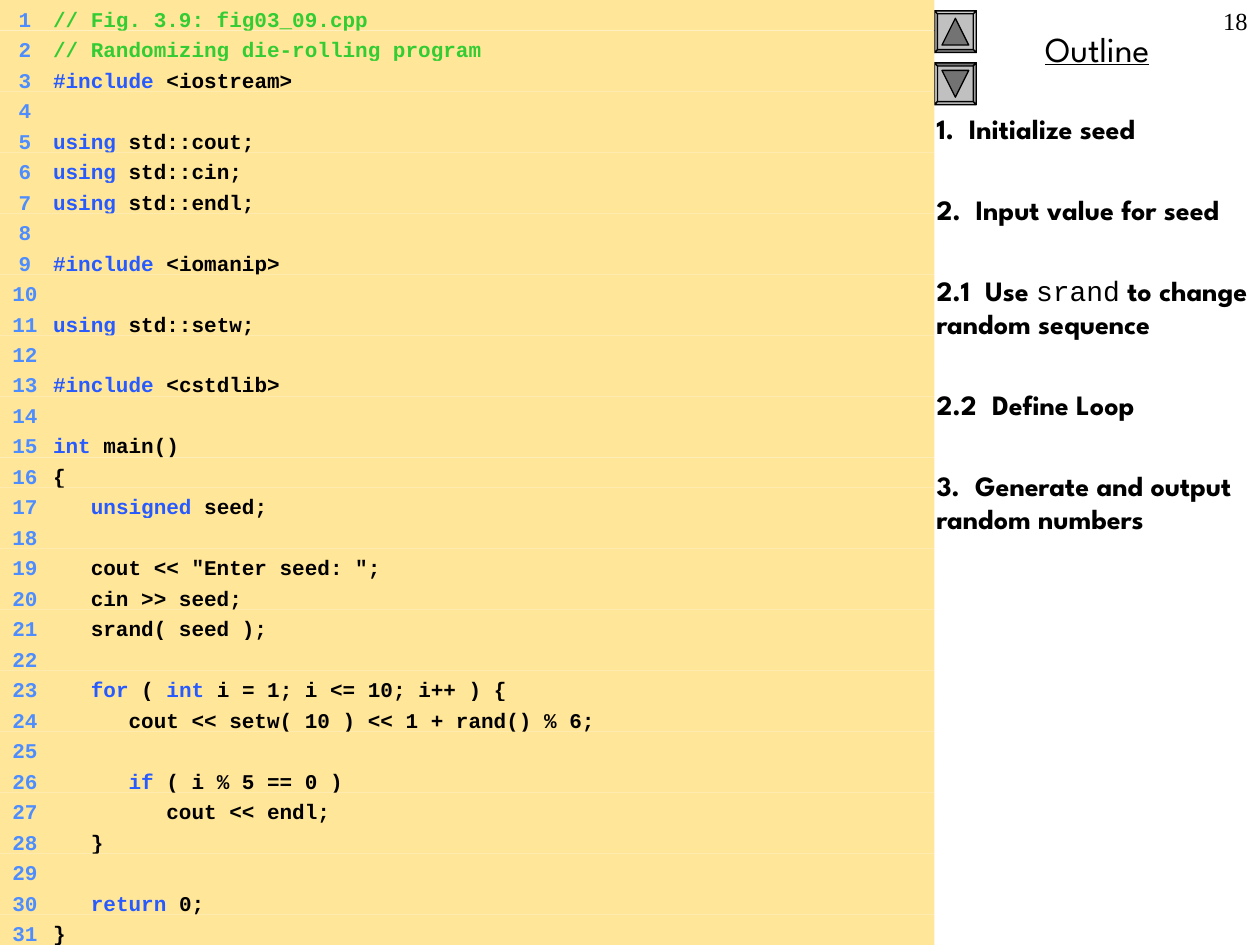
from itertools import groupby

from lxml.etree import SubElement as Sub
from pptx import Presentation
from pptx.dml.color import RGBColor as Rgb
from pptx.enum.shapes import MSO_SHAPE as Kind
from pptx.enum.text import MSO_ANCHOR as Anchor, PP_ALIGN as Align
from pptx.oxml.ns import qn
from pptx.util import Cm, Pt

BLACK = Rgb(0, 0, 0)
CREAM = Rgb(0xFF, 0xE6, 0x99)
GREEN = Rgb(0x33, 0xCC, 0x33)
BLUE = Rgb(0x27, 0x5A, 0xFF)
SKY = Rgb(0x4D, 0x8D, 0xFF)
FACE = Rgb(0xC0, 0xC0, 0xC0)
LIGHT = Rgb(0xCD, 0xCD, 0xCD)
MID = Rgb(0x9A, 0x9A, 0x9A)
DARK = Rgb(0x73, 0x73, 0x73)

MONO, SANS, SERIF = "Courier New", "League Spartan", "Times New Roman"
WIDE, HIGH, SPLIT = 25.4, 19.05, 18.84

KEYS = {"#include", "using", "int", "unsigned", "for", "if", "return"}
CODE = """\
// Fig. 3.9: fig03_09.cpp
// Randomizing die-rolling program
#include <iostream>

using std::cout;
using std::cin;
using std::endl;

#include <iomanip>

using std::setw;

#include <cstdlib>

int main()
{
   unsigned seed;

   cout << "Enter seed: ";
   cin >> seed;
   srand( seed );

   for ( int i = 1; i <= 10; i++ ) {
      cout << setw( 10 ) << 1 + rand() % 6;

      if ( i % 5 == 0 )
         cout << endl;
   }

   return 0;
}""".split("\n")

# Each topic: width of its number in cm, then its runs
TOPICS = [
    (0.65, [("1.\tInitialize seed", SANS)]),
    (0.79, [("2.\tInput value for seed", SANS)]),
    (0.98, [("2.1\tUse ", SANS), ("srand", MONO),
            (" to change random sequence", SANS)]),
    (1.12, [("2.2\tDefine Loop", SANS)]),
    (0.78, [("3.\tGenerate and output random numbers", SANS)]),
]


def put(para, text, font=SANS, size=16, color=BLACK, bold=False, under=False):
    run = para.add_run()
    run.text = text
    style = run.font
    style.name, style.size, style.bold = font, Pt(size), bold
    style.underline = under
    style.color.rgb = color


def stops(para, *tabs):
    """Set tab stops, each a pair of centimetres and alignment."""
    group = Sub(para._p.get_or_add_pPr(), qn("a:tabLst"))
    for pos, side in tabs:
        Sub(group, qn("a:tab"), pos=str(Cm(pos)), algn=side)


def tint(line):
    """Split a line of code into runs of text and colour."""
    if line.startswith("//"):
        return [(line, GREEN)]
    groups = groupby(line.split(" "), lambda word: word in KEYS)
    return [(" " * (i > 0) + " ".join(words), BLUE if key else BLACK)
            for i, (key, words) in enumerate(groups)]


class Page:
    def __init__(self, deck):
        self.slide = deck.slides.add_slide(deck.slide_layouts[6])
        self.shapes = self.slide.shapes

    def paint(self, shape, fill, line=None):
        shape.shadow.inherit = False
        shape.fill.solid()
        shape.fill.fore_color.rgb = fill
        if line is None:
            shape.line.fill.background()
        else:
            shape.line.color.rgb = line
            shape.line.width = Pt(0.75)

    def box(self, left, top, width, height, align=Align.LEFT):
        """Add a text box and return its frame."""
        frame = self.shapes.add_textbox(
            Cm(left), Cm(top), Cm(width), Cm(height)).text_frame
        frame.word_wrap = True
        frame.paragraphs[0].alignment = align
        return frame

    def row(self, num, line, pitch):
        top = Cm((num - 1) * pitch)
        bar = self.shapes.add_shape(
            Kind.RECTANGLE, 0, top, Cm(SPLIT), Cm(pitch))
        self.paint(bar, CREAM)
        frame = bar.text_frame
        frame.vertical_anchor = Anchor.TOP
        frame.word_wrap = True
        para = frame.paragraphs[0]
        para.alignment = Align.LEFT
        stops(para, (0.38, "r"), (0.82, "l"))
        for text, color in [(f"\t{num}\t", SKY), *tint(line)]:
            if text:
                put(para, text, MONO, 12, color, bold=True)

    def poly(self, points, fill):
        pts = [(Cm(x), Cm(y)) for x, y in points]
        pen = self.shapes.build_freeform(*pts[0])
        pen.add_line_segments(pts[1:], close=True)
        self.paint(pen.convert_to_shape(), fill, BLACK)

    def button(self, x, y, way):
        """Draw a bevelled button centred at x, y; way is -1 up, 1 down."""
        def ring(r):
            return [(x + way * a * r, y + way * b * r)
                    for a, b in ((-1, 1), (-1, -1), (1, -1), (1, 1))]

        outer, inner = ring(0.42), ring(0.36)
        self.poly(outer, FACE)
        for i, fill in enumerate((LIGHT, DARK, MID, LIGHT)):
            j = (i + 1) % 4
            self.poly([outer[i], outer[j], inner[j], inner[i]], fill)
        r = 0.27 * way
        self.poly([(x, y + r), (x - r, y - r), (x + r, y - r)], DARK)

    def topics(self, items):
        frame = self.box(18.63, 2.12, 6.77, 16.93)
        for i, (tab, runs) in enumerate(items):
            para = frame.add_paragraph() if i else frame.paragraphs[0]
            if i:
                para.space_before = Pt(27)
            stops(para, (tab, "l"))
            for text, font in runs:
                put(para, text, font, bold=font == SANS)


def main():
    deck = Presentation()
    deck.slide_width, deck.slide_height = Cm(WIDE), Cm(HIGH)
    page = Page(deck)
    title = page.box(SPLIT, 0.43, 6.56, 1.12, Align.CENTER)
    put(title.paragraphs[0], "Outline", size=20, under=True)
    for y, way in ((0.64, -1), (1.69, 1)):
        page.button(19.26, y, way)
    page.topics(TOPICS)
    for num, line in enumerate(CODE, 1):
        page.row(num, line, HIGH / len(CODE))
    number = page.box(20.12, 0, 5.28, 1.27, Align.RIGHT)
    put(number.paragraphs[0], "18", SERIF, 14)
    deck.save("out.pptx")


if __name__ == "__main__":
    main()
